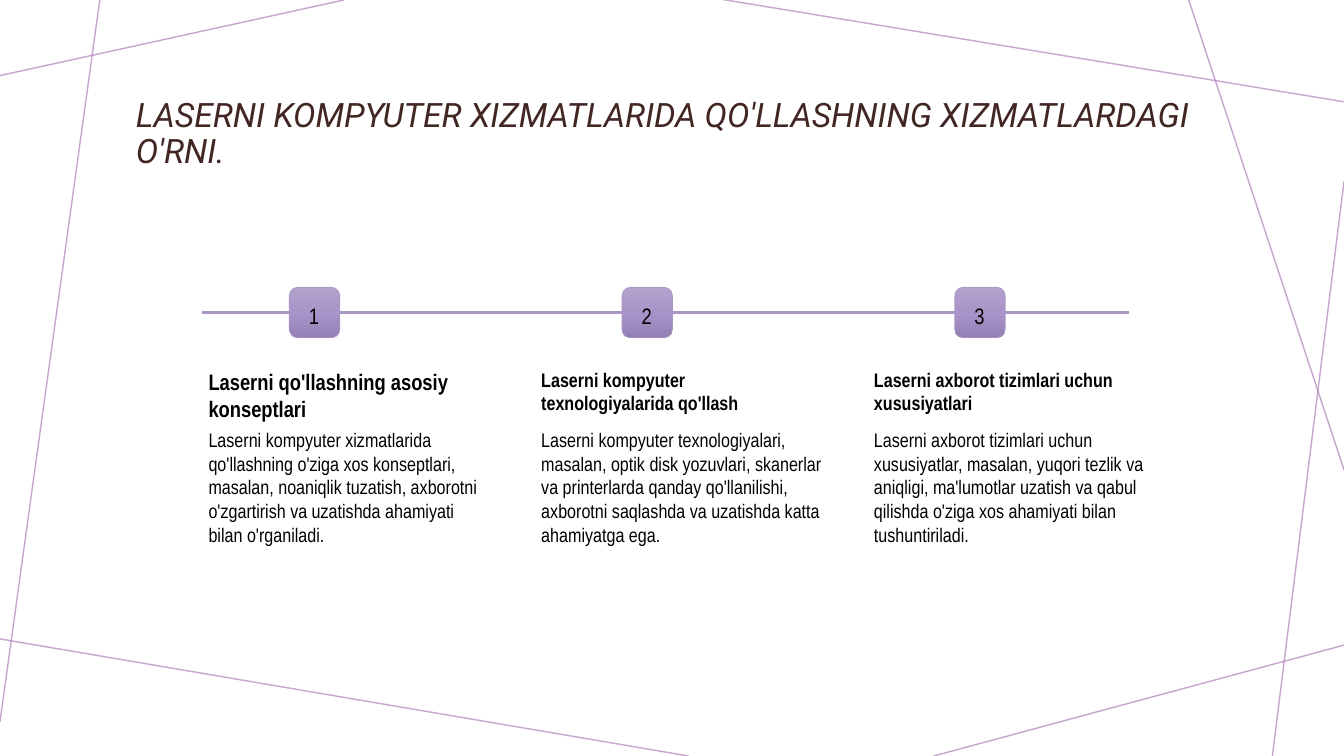
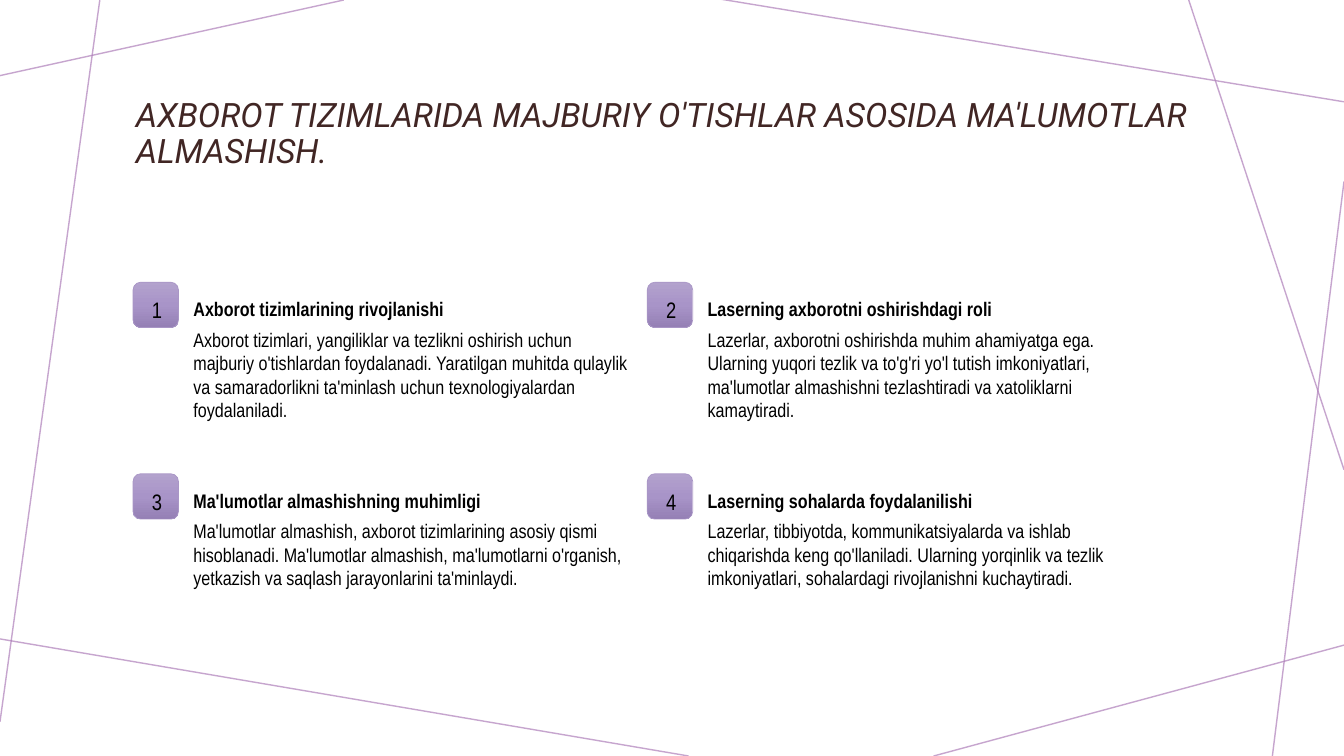
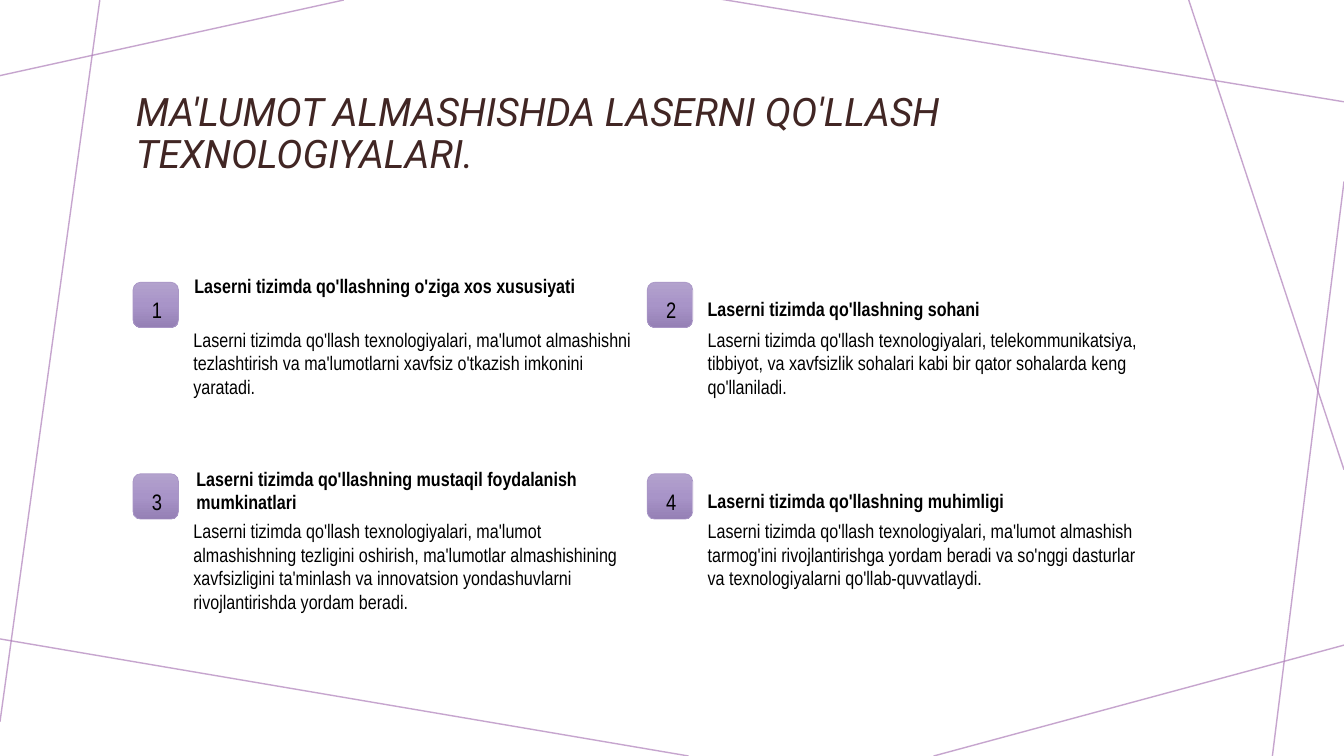
from copy import deepcopy

from pptx import Presentation
from pptx.dml.color import RGBColor
from pptx.enum.shapes import MSO_CONNECTOR, MSO_SHAPE
from pptx.enum.text import MSO_ANCHOR, MSO_AUTO_SIZE, PP_ALIGN
from pptx.oxml.ns import qn
from pptx.util import Inches, Pt
from lxml import etree

STRAIGHT = MSO_CONNECTOR.STRAIGHT
ROUNDED = MSO_SHAPE.ROUNDED_RECTANGLE
TOP, MIDDLE = MSO_ANCHOR.TOP, MSO_ANCHOR.MIDDLE
LEFT = PP_ALIGN.LEFT
GROW, FIXED = MSO_AUTO_SIZE.SHAPE_TO_FIT_TEXT, MSO_AUTO_SIZE.NONE

BLACK = RGBColor(0x00, 0x00, 0x00)
BROWN = RGBColor(0x41, 0x26, 0x24)
MAUVE = RGBColor(0xAF, 0x7F, 0xBA)
LILAC = RGBColor(0xA9, 0x96, 0xC6)
PALE = RGBColor(0xB3, 0xA2, 0xCD)
MID = RGBColor(0xA8, 0x94, 0xC8)
DEEP = RGBColor(0x95, 0x80, 0xB5)
STOPS = ((0, PALE), (0.5, MID), (1, DEEP))

TITLE = {"name": "Roboto", "size": Pt(24), "italic": True}
BODY = {"name": "Arial Narrow", "size": Pt(14)}
HEAD = BODY | {"bold": True}
DIGIT = BODY | {"size": Pt(16)}

FRAME = (
    (3.41, 0, 0, 0.75),
    (0.99, 0, 0, 7.16),
    (6.83, 7.5, -0.05, 6.33),
    (13.33, 6.4, 9.26, 7.5),
    (13.33, 1.8, 12.62, 7.5),
    (13.33, 4.66, 11.79, 0),
    (13.33, 1.01, 7.14, -0.01),
)

STEPS = (
    ("Laserni qo'llashning asosiy konseptlari",
     "Laserni kompyuter xizmatlarida qo'llashning o'ziga xos konseptlari, masalan, "
     "noaniqlik tuzatish, axborotni o'zgartirish va uzatishda ahamiyati bilan "
     "o'rganiladi.", 16),
    ("Laserni kompyuter texnologiyalarida qo'llash",
     "Laserni kompyuter texnologiyalari, masalan, optik disk yozuvlari, skanerlar va "
     "printerlarda qanday qo'llanilishi, axborotni saqlashda va uzatishda katta "
     "ahamiyatga ega.", 14),
    ("Laserni axborot tizimlari uchun xususiyatlari",
     "Laserni axborot tizimlari uchun xususiyatlar, masalan, yuqori tezlik va aniqligi, "
     "ma'lumotlar uzatish va qabul qilishda o'ziga xos ahamiyati bilan "
     "tushuntiriladi.", 14),
)

# Each card: heading, body, and the heading's shift across and down
SYSTEMS = (
    ("Axborot tizimlarining rivojlanishi",
     "Axborot tizimlari, yangiliklar va tezlikni oshirish uchun majburiy o'tishlardan "
     "foydalanadi. Yaratilgan muhitda qulaylik va samaradorlikni ta'minlash uchun "
     "texnologiyalardan foydalaniladi.", 0, 0),
    ("Laserning axborotni oshirishdagi roli",
     "Lazerlar, axborotni oshirishda muhim ahamiyatga ega. Ularning yuqori tezlik va "
     "to'g'ri yo'l tutish imkoniyatlari, ma'lumotlar almashishni tezlashtiradi va "
     "xatoliklarni kamaytiradi.", 0, 0),
    ("Ma'lumotlar almashishning muhimligi",
     "Ma'lumotlar almashish, axborot tizimlarining asosiy qismi hisoblanadi. "
     "Ma'lumotlar almashish, ma'lumotlarni o'rganish, yetkazish va saqlash "
     "jarayonlarini ta'minlaydi.", 0, 0),
    ("Laserning sohalarda foydalanilishi",
     "Lazerlar, tibbiyotda, kommunikatsiyalarda va ishlab chiqarishda keng "
     "qo'llaniladi. Ularning yorqinlik va tezlik imkoniyatlari, sohalardagi "
     "rivojlanishni kuchaytiradi.", 0, 0),
)

USES = (
    ("Laserni tizimda qo'llashning o'ziga xos xususiyati",
     "Laserni tizimda qo'llash texnologiyalari, ma'lumot almashishni tezlashtirish va "
     "ma'lumotlarni xavfsiz o'tkazish imkonini yaratadi.", 0.01, -0.23),
    ("Laserni tizimda qo'llashning sohani",
     "Laserni tizimda qo'llash texnologiyalari, telekommunikatsiya, tibbiyot, va "
     "xavfsizlik sohalari kabi bir qator sohalarda keng qo'llaniladi.", 0, 0),
    ("Laserni tizimda qo'llashning mustaqil foydalanish mumkinatlari",
     "Laserni tizimda qo'llash texnologiyalari, ma'lumot almashishning tezligini "
     "oshirish, ma'lumotlar almashishining xavfsizligini ta'minlash va innovatsion "
     "yondashuvlarni rivojlantirishda yordam beradi.", 0.03, -0.22),
    ("Laserni tizimda qo'llashning muhimligi",
     "Laserni tizimda qo'llash texnologiyalari, ma'lumot almashish tarmog'ini "
     "rivojlantirishga yordam beradi va so'nggi dasturlar va texnologiyalarni "
     "qo'llab-quvvatlaydi.", 0, 0),
)


class Deck:
    """Holds the shared style and the slide being built."""

    def __init__(self):
        self.file = Presentation()
        self.file.slide_width = Inches(13.33)
        self.file.slide_height = Inches(7.5)
        self.slide = None

    def start(self, title, size=24):
        """Add a slide with the line frame and its title."""
        self.slide = self.file.slides.add_slide(self.file.slide_layouts[6])
        for ends in FRAME:
            self.line(ends, MAUVE, 1, 70)
        box = self.text((1.25, 0.58, 10.83, 1.51), title,
                        TITLE | {"size": Pt(size)}, BROWN, MIDDLE, FIXED)
        box.text_frame.paragraphs[0].line_spacing = 0.9

    def line(self, ends, color, width, alpha=100):
        line = self.slide.shapes.add_connector(STRAIGHT, *map(Inches, ends))
        line.line.color.rgb = color
        line.line.width = Pt(width)
        props = line.element.spPr
        if alpha < 100:
            tint = props.find(".//" + qn("a:srgbClr"))
            etree.SubElement(tint, qn("a:alpha")).set("val", str(alpha * 1000))
        etree.SubElement(props, qn("a:effectLst"))

    def label(self, shape, text, style, color, anchor, fit):
        """Put styled text into a shape."""
        frame = shape.text_frame
        frame.word_wrap = True
        frame.auto_size = fit
        frame.vertical_anchor = anchor
        para = frame.paragraphs[0]
        para.alignment = LEFT
        run = para.add_run()
        run.text = text
        run.font.color.rgb = color
        for key, value in style.items():
            setattr(run.font, key, value)

    def text(self, place, text, style, color=BLACK, anchor=TOP, fit=GROW):
        box = self.slide.shapes.add_textbox(*map(Inches, place))
        self.label(box, text, style, color, anchor, fit)
        return box

    def badge(self, left, top, side, number):
        """Draw a shaded square that carries a number."""
        shape = self.slide.shapes.add_shape(
            ROUNDED, *map(Inches, (left, top, side, side)))
        shape.shadow.inherit = False
        shape.line.color.rgb = LILAC
        shape.line.width = Pt(0.5)
        shape.fill.gradient()
        shape.fill.gradient_angle = 270
        first = shape.element.spPr.find(".//" + qn("a:gs"))
        first.addnext(deepcopy(first))
        for stop, (place, color) in zip(shape.fill.gradient_stops, STOPS):
            stop.position = place
            stop.color.rgb = color
        self.label(shape, str(number), DIGIT, BLACK, TOP, FIXED)
        pads = {"left": side / 10 + 0.12, "top": 0.12, "right": 0, "bottom": 0}
        for edge, pad in pads.items():
            setattr(shape.text_frame, "margin_" + edge, Inches(pad))

    def steps(self, items):
        """Lay numbered steps in equal columns along a line."""
        self.line((2, 3.1, 11.2, 3.1), LILAC, 2)
        for i, (head, body, size) in enumerate(items):
            left = 1.97 + 3.3 * i
            self.badge(left + 0.9, 2.85, 0.5, i + 1)
            self.text((left, 3.6, 2.7, 0.3), head, HEAD | {"size": Pt(size)})
            self.text((left, 4.2, 3, 2), body, BODY)

    def cards(self, items):
        """Lay numbered cards in a grid of two columns."""
        for i, (head, body, across, down) in enumerate(items):
            row, col = divmod(i, 2)
            left, top = 1.32 + 5.1 * col, 2.8 + 1.9 * row
            self.badge(left, top, 0.45, i + 1)
            self.text((left + 0.5 + across, top + 0.1 + down, 4.6, 0.3), head, HEAD)
            self.text((left + 0.5, top + 0.4, 4.6, 1.1), body, BODY)


def main():
    deck = Deck()
    deck.start("LASERNI KOMPYUTER XIZMATLARIDA QO'LLASHNING XIZMATLARDAGI O'RNI.")
    deck.steps(STEPS)
    deck.start("AXBOROT TIZIMLARIDA MAJBURIY O'TISHLAR ASOSIDA MA'LUMOTLAR ALMASHISH.")
    deck.cards(SYSTEMS)
    deck.start("MA'LUMOT ALMASHISHDA LASERNI QO'LLASH TEXNOLOGIYALARI.", 28)
    deck.cards(USES)
    deck.file.save("out.pptx")


if __name__ == "__main__":
    main()
